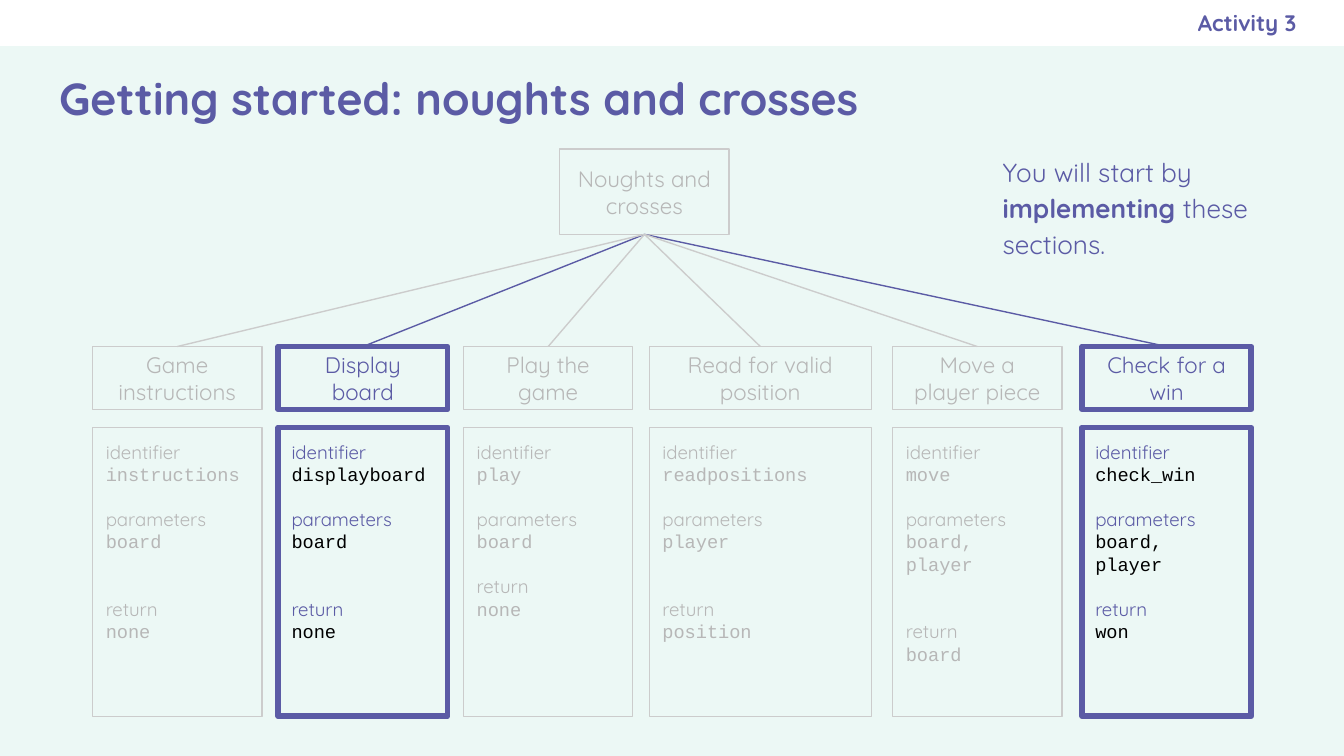
from pptx import Presentation
from pptx.dml.color import RGBColor
from pptx.enum.shapes import MSO_CONNECTOR, MSO_SHAPE
from pptx.enum.text import MSO_ANCHOR, PP_ALIGN
from pptx.util import Cm, Pt
from lxml.etree import SubElement
from pptx.oxml.ns import qn

MINT = RGBColor(0xEC, 0xF8, 0xF5)
WHITE = RGBColor(0xFF, 0xFF, 0xFF)
INDIGO = RGBColor(0x5B, 0x5B, 0xA5)
SILVER = RGBColor(0xCC, 0xCC, 0xCC)
GREY = RGBColor(0xB7, 0xB7, 0xB7)
BLACK = RGBColor(0x00, 0x00, 0x00)


def write(p, text, size=12, color=INDIGO, font="Quicksand", bold=False, align=PP_ALIGN.LEFT, before=0):
    p.alignment = align
    p.space_before = Pt(before)
    r = p.add_run()
    r.text = text
    r.font.size = Pt(size)
    r.font.name = font
    r.font.bold = bold
    r.font.color.rgb = color


def add_box(left, top, width, height, line=None, weight=0.75, anchor=MSO_ANCHOR.MIDDLE):
    size = Cm(left), Cm(top), Cm(width), Cm(height)
    if line is None:
        sp = s.shapes.add_textbox(*size)
    else:
        sp = s.shapes.add_shape(MSO_SHAPE.RECTANGLE, *size)
        sp.shadow.inherit = False
        sp.fill.background()
        sp.line.color.rgb = line
        sp.line.width = Pt(weight)
    tf = sp.text_frame
    tf.word_wrap = True
    tf.vertical_anchor = anchor
    tf.margin_left = tf.margin_right = tf.margin_top = tf.margin_bottom = Cm(0.25)
    return tf


prs = Presentation()
prs.slide_width = Cm(25.4)
prs.slide_height = Cm(14.29)
s = prs.slides.add_slide(prs.slide_layouts[6])
s.background.fill.solid()
s.background.fill.fore_color.rgb = MINT

band = s.shapes.add_shape(MSO_SHAPE.RECTANGLE, 0, 0, prs.slide_width, Cm(0.87))
band.shadow.inherit = False
band.fill.solid()
band.fill.fore_color.rgb = WHITE
band.line.fill.background()

tf = add_box(0.87, 0.87, 23.66, 1.95)
write(tf.paragraphs[0], "Getting started: noughts and crosses", size=24, bold=True)

tf = add_box(14.6, 0, 9.9, 0.87)
tf.margin_right = 0
write(tf.paragraphs[0], "Activity 3", bold=True, align=PP_ALIGN.RIGHT)

ROOT_X, ROOT_Y, HEAD_Y = 12.18, 4.43, 6.55
tf = add_box(ROOT_X - 1.6, 2.82, 3.2, ROOT_Y - 2.82, SILVER)
write(tf.paragraphs[0], "Noughts and crosses", color=GREY, align=PP_ALIGN.CENTER)

modules = [
    (1.75, 3.2, "Game instructions", "instructions", "board", "none", 24, False),
    (5.26, 3.2, "Display board", "displayboard", "board", "none", 24, True),
    (8.76, 3.2, "Play the game", "play", "board", "none", 12, False),
    (12.27, 4.2, "Read for valid position", "readpositions", "player", "position", 24, False),
    (16.87, 3.2, "Move a player piece", "move", "board, player", "board", 24, False),
    (20.45, 3.2, "Check for a win", "check_win", "board, player", "won", 12, True),
]

for left, width, title, identifier, parameters, result, gap, active in modules:
    line, weight = (INDIGO, 3) if active else (SILVER, 0.75)
    label_color, code_color = (INDIGO, BLACK) if active else (GREY, GREY)

    tf = add_box(left, HEAD_Y, width, 1.19, line, weight)
    write(tf.paragraphs[0], title, color=label_color, align=PP_ALIGN.CENTER)

    tf = add_box(left, 8.08, width, 5.46, line, weight, MSO_ANCHOR.TOP)
    p = tf.paragraphs[0]
    for label, code, before in [("identifier", identifier, 0), ("parameters", parameters, 12), ("return", result, gap)]:
        if before:
            p = tf.add_paragraph()
        write(p, label, size=10, color=label_color, before=before)
        write(tf.add_paragraph(), code, size=10, color=code_color, font="Courier New")

for left, width, *details, active in sorted(modules, key=lambda m: not m[-1]):
    link = s.shapes.add_connector(MSO_CONNECTOR.STRAIGHT, Cm(left + width / 2), Cm(HEAD_Y), Cm(ROOT_X), Cm(ROOT_Y))
    link.line.color.rgb = INDIGO if active else SILVER
    link.line.width = Pt(0.75)
    SubElement(link._element.spPr, qn("a:effectLst"))

tf = add_box(18.7, 2.62, 5.8, 1.6, anchor=MSO_ANCHOR.TOP)
p = tf.paragraphs[0]
p.line_spacing = 1.15
for text, bold in [("You will start by ", False), ("implementing ", True), ("these sections.", False)]:
    write(p, text, size=14, bold=bold)

prs.save("out.pptx")
